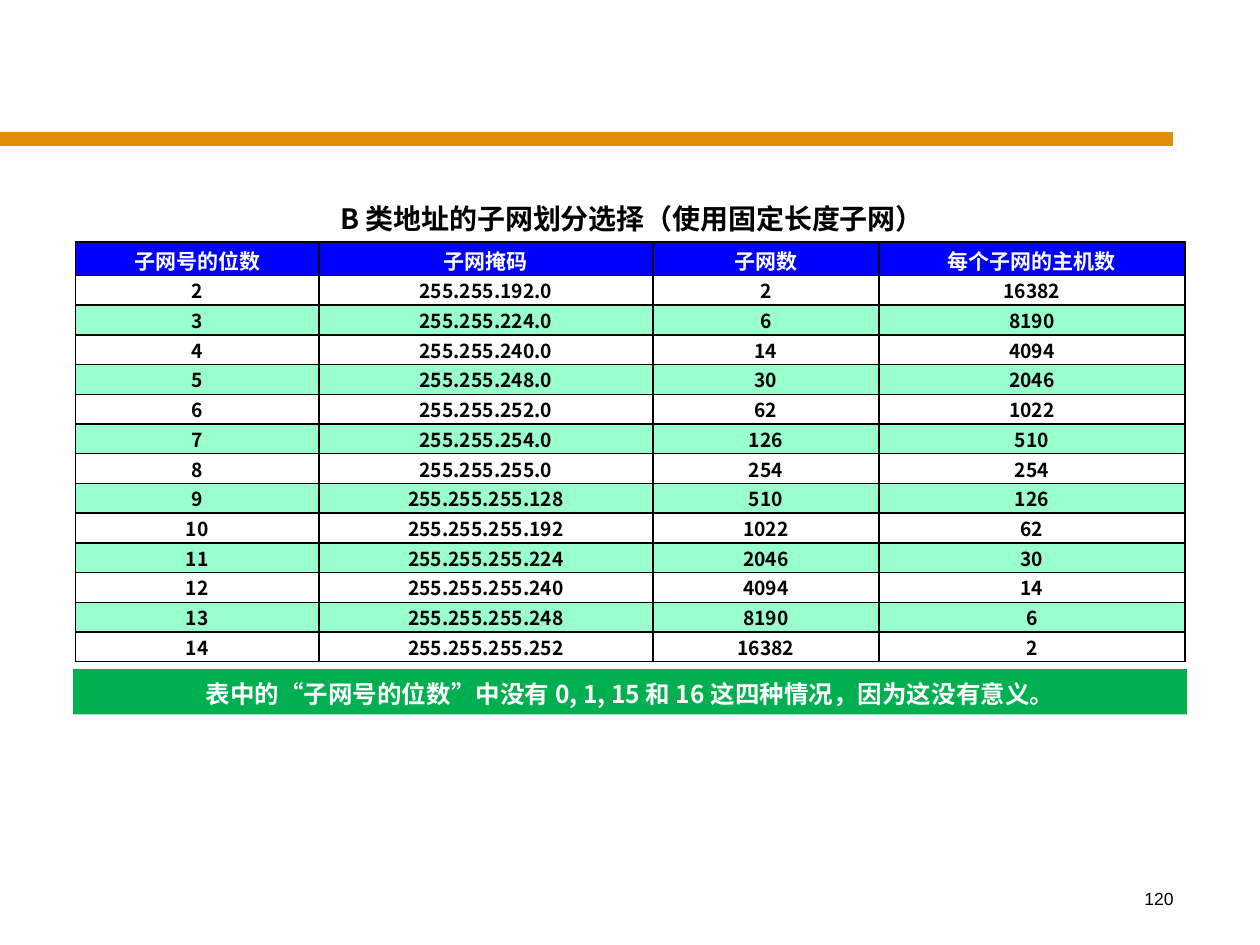
"""Slide with the subnetting choices for class B addresses."""
from lxml.etree import SubElement
from pptx import Presentation
from pptx.dml.color import RGBColor
from pptx.enum.shapes import MSO_CONNECTOR, MSO_SHAPE
from pptx.enum.text import MSO_ANCHOR, PP_ALIGN
from pptx.oxml.ns import qn
from pptx.util import Pt


def color(value):
    """Turn a hex string into a colour."""
    return RGBColor.from_string(value)


class SlideBuilder:
    """Holds the style and the current slide."""

    FONT = "Noto Sans CJK SC"
    BLACK, WHITE = "000000", "FFFFFF"
    ORANGE, BLUE, MINT, GREEN = "DF8E05", "0000FF", "99FFCC", "00B050"

    def __init__(self, s):
        """Start on the given slide."""
        self.s = s

    def add_text(self, tf, text, size, fill=BLACK, font=FONT, bold=True,
                 align=PP_ALIGN.CENTER, spacing=None):
        """Put one paragraph into a text frame."""
        p = tf.paragraphs[0]
        p.alignment = align
        if spacing is not None:
            p.line_spacing = spacing
        r = p.add_run()
        r.text = text
        r.font.size, r.font.bold, r.font.name = Pt(size), bold, font
        r.font.color.rgb = color(fill)
        SubElement(r.font._element, qn("a:ea"), typeface=font)

    def rule(self, x1, y, x2, fill, width):
        """Draw a horizontal line."""
        line = self.s.shapes.add_connector(
            MSO_CONNECTOR.STRAIGHT, Pt(x1), Pt(y), Pt(x2), Pt(y))
        line.line.color.rgb = color(fill)
        line.line.width = Pt(width)
        SubElement(line._element.spPr, qn("a:effectLst"))

    def text(self, x, y, w, h, text, size, **style):
        """Add a wrapped text box."""
        tf = self.s.shapes.add_textbox(Pt(x), Pt(y), Pt(w), Pt(h)).text_frame
        tf.word_wrap = True
        self.add_text(tf, text, size, **style)

    def banner(self, x, y, w, h, text, size, fill):
        """Add a filled rectangle with white text."""
        sp = self.s.shapes.add_shape(
            MSO_SHAPE.RECTANGLE, Pt(x), Pt(y), Pt(w), Pt(h))
        sp.shadow.inherit = False
        sp.fill.solid()
        sp.fill.fore_color.rgb = color(fill)
        sp.line.fill.background()
        sp.text_frame.word_wrap = True
        self.add_text(sp.text_frame, text, size, self.WHITE, spacing=1.1)

    def cell(self, cell, text, size, ink, fill, spacing):
        """Fill one table cell and draw its borders."""
        cell.margin_left = cell.margin_right = Pt(5)
        cell.margin_top = cell.margin_bottom = Pt(0)
        cell.vertical_anchor = MSO_ANCHOR.MIDDLE
        self.add_text(cell.text_frame, text, size, ink, spacing=spacing)
        tc_pr = cell._tc.get_or_add_tcPr()
        for side in ("lnL", "lnR", "lnT", "lnB"):
            border = SubElement(tc_pr, qn(f"a:{side}"), w=str(Pt(1)))
            solid = SubElement(border, qn("a:solidFill"))
            SubElement(solid, qn("a:srgbClr"), val=self.BLACK)
        if fill:
            cell.fill.solid()
            cell.fill.fore_color.rgb = color(fill)
        else:
            cell.fill.background()

    def table(self, x, y, widths, head_height, row_height, rows):
        """Add a table with a header row and alternating row fills."""
        height = head_height + row_height * (len(rows) - 1)
        table = self.s.shapes.add_table(
            len(rows), len(widths), Pt(x), Pt(y), Pt(sum(widths)), Pt(height)).table
        for column, width in zip(table.columns, widths):
            column.width = Pt(width)
        for i, row in enumerate(rows):
            table.rows[i].height = Pt(row_height if i else head_height)
            if i == 0:
                style = (12, self.WHITE, self.BLUE, Pt(19))
            else:
                style = (11, self.BLACK, None if i % 2 else self.MINT, None)
            for j, value in enumerate(row):
                self.cell(table.cell(i, j), str(value), *style)


def subnet_row(bits):
    """Work out mask, subnets and hosts for a number of subnet bits."""
    mask = 2**32 - 2**(16 - bits)
    dotted = ".".join(str(mask >> shift & 255) for shift in (24, 16, 8, 0))
    return bits, dotted, 2**bits - 2, 2**(16 - bits) - 2


def main():
    """Build and save the slide."""
    prs = Presentation()
    prs.slide_width, prs.slide_height = Pt(720), Pt(540)
    b = SlideBuilder(prs.slides.add_slide(prs.slide_layouts[6]))
    b.rule(0, 79.4, 670.4, b.ORANGE, 8)
    b.text(527.8, 504, 149.8, 36, "120", 10, font="Arial", bold=False,
           align=PP_ALIGN.RIGHT)
    b.text(181.4, 111.6, 360, 26.6, "B 类地址的子网划分选择（使用固定长度子网）", 16)
    header = ("子网号的位数", "子网掩码", "子网数", "每个子网的主机数")
    rows = [header] + [subnet_row(bits) for bits in range(2, 15)]
    b.table(43.2, 138.4, (139, 191, 129, 175), 19, 17, rows)
    b.banner(41.8, 382.4, 636.5, 25.9,
             "表中的“子网号的位数”中没有 0, 1, 15 和 16 这四种情况，因为这没有意义。",
             14, b.GREEN)
    prs.save("out.pptx")


if __name__ == "__main__":
    main()
